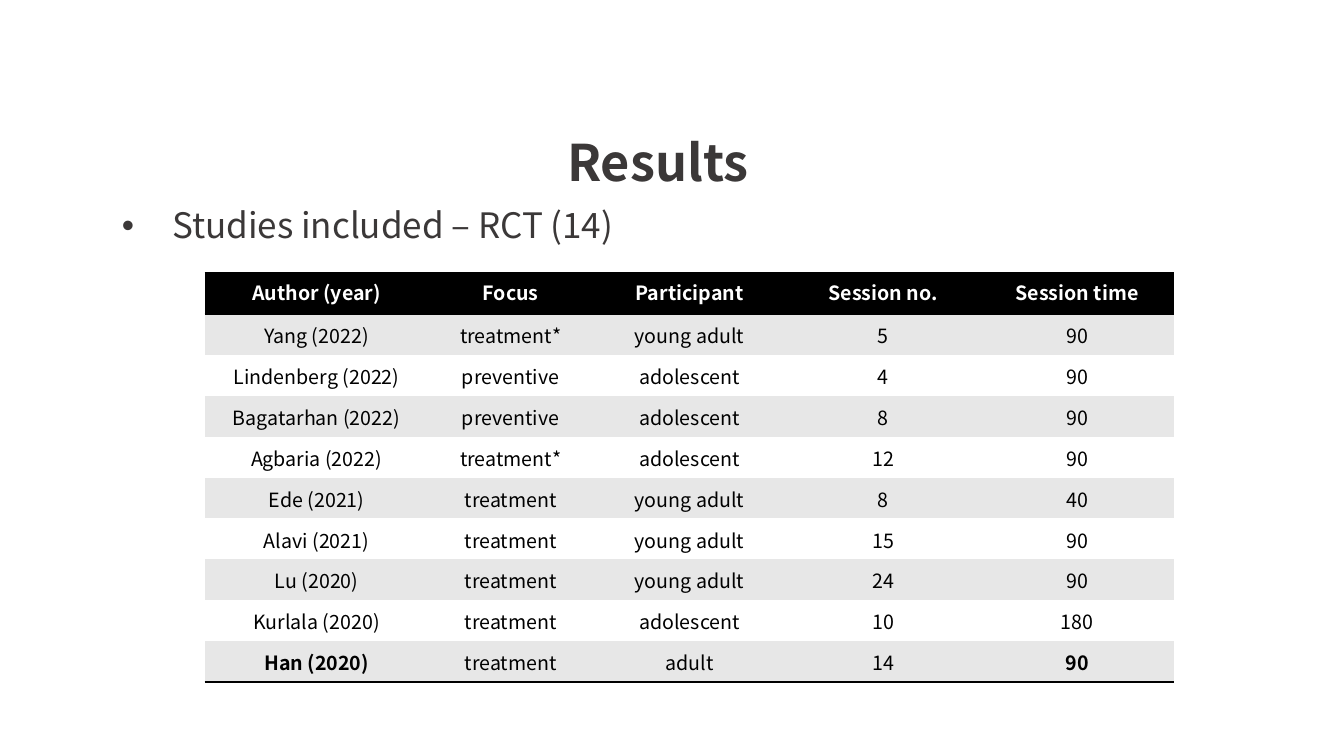
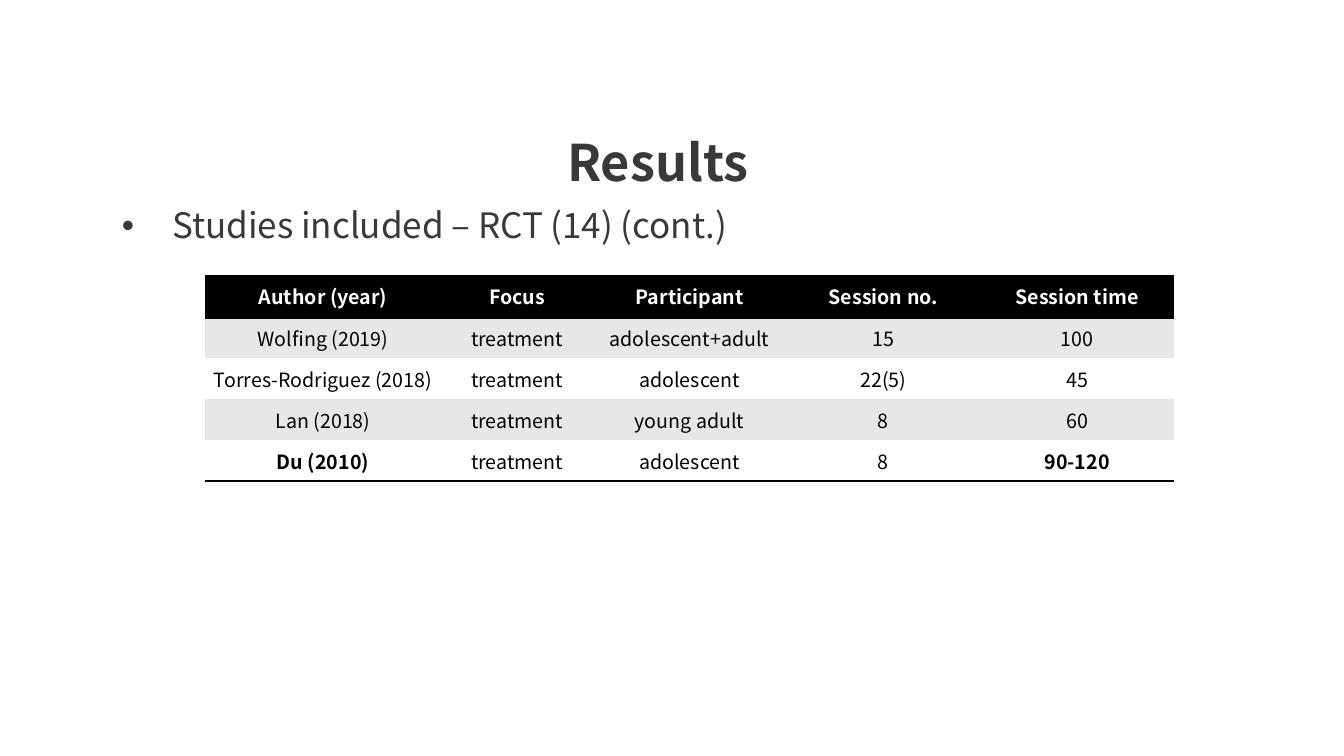
from pptx import Presentation
from pptx.dml.color import RGBColor
from pptx.enum.text import MSO_ANCHOR, MSO_AUTO_SIZE, PP_ALIGN
from pptx.oxml import parse_xml
from pptx.oxml.ns import nsdecls, qn
from pptx.util import Pt

MIDDLE, TOP = MSO_ANCHOR.MIDDLE, MSO_ANCHOR.TOP
CENTER, LEFT = PP_ALIGN.CENTER, PP_ALIGN.LEFT
GROW = MSO_AUTO_SIZE.SHAPE_TO_FIT_TEXT

BLACK = RGBColor(0x00, 0x00, 0x00)
WHITE = RGBColor(0xFF, 0xFF, 0xFF)
GREY = RGBColor(0xE7, 0xE7, 0xE7)
DARK = RGBColor(0x3B, 0x38, 0x38)

FONT = "Noto Sans CJK KR"
PLAIN = "{2D5ABB26-0587-4C30-8999-92F81FD0307C}"
ROW = 29.25
HEAD = ("Author (year)", "Focus", "Participant", "Session no.", "Session time")

FIRST = [
    ("Yang (2022)", "treatment*", "young adult", "5", "90"),
    ("Lindenberg (2022)", "preventive", "adolescent", "4", "90"),
    ("Bagatarhan (2022)", "preventive", "adolescent", "8", "90"),
    ("Agbaria (2022)", "treatment*", "adolescent", "12", "90"),
    ("Ede (2021)", "treatment", "young adult", "8", "40"),
    ("Alavi (2021)", "treatment", "young adult", "15", "90"),
    ("Lu (2020)", "treatment", "young adult", "24", "90"),
    ("Kurlala (2020)", "treatment", "adolescent", "10", "180"),
    ("Han (2020)", "treatment", "adult", "14", "90"),
]
SECOND = [
    ("Wolfing (2019)", "treatment", "adolescent+adult", "15", "100"),
    ("Torres-Rodriguez (2018)", "treatment", "adolescent", "22(5)", "45"),
    ("Lan (2018)", "treatment", "young adult", "8", "60"),
    ("Du (2010)", "treatment", "adolescent", "8", "90-120"),
]


class Deck:
    """Hold the shared style and the slide being built."""

    def __init__(self):
        self.show = Presentation()
        self.show.slide_width, self.show.slide_height = Pt(960), Pt(540)
        self.slide = None

    def style(self, para, size, color, bold=False, align=CENTER):
        para.alignment = align
        font = para.font
        font.name, font.size, font.bold = FONT, Pt(size), bold
        font.color.rgb = color

    def fit(self, frame):
        frame.word_wrap = True
        frame.auto_size = GROW
        frame.vertical_anchor = TOP
        frame.paragraphs[0].line_spacing = 0.9

    def title(self, text):
        self.slide = self.show.slides.add_slide(self.show.slide_layouts[5])
        box = self.slide.shapes.title
        box.left, box.top, box.width, box.height = Pt(126), Pt(95), Pt(688), Pt(51)
        box.text_frame.text = text
        self.fit(box.text_frame)
        self.style(box.text_frame.paragraphs[0], 36, DARK, True)

    def bullet(self, text):
        box = self.slide.shapes.add_textbox(Pt(80), Pt(145.5), Pt(758), Pt(37.5))
        box.text_frame.text = text
        self.fit(box.text_frame)
        para = box.text_frame.paragraphs[0]
        props = para._p.get_or_add_pPr()
        props.set("marL", str(Pt(36)))
        props.set("indent", str(-Pt(36)))
        props.append(parse_xml(f'<a:buFont {nsdecls("a")} typeface="Arial"/>'))
        props.append(parse_xml(f'<a:buChar {nsdecls("a")} char="•"/>'))
        self.style(para, 25, DARK, align=LEFT)

    def rule(self, cell, side):
        cell._tc.get_or_add_tcPr().append(parse_xml(
            f'<a:ln{side} {nsdecls("a")} w="{Pt(2)}"><a:solidFill>'
            f'<a:srgbClr val="{BLACK}"/></a:solidFill></a:ln{side}>'))

    def cell(self, cell, text, fill, color, bold, sides):
        for side in sides:
            self.rule(cell, side)
        cell.fill.solid()
        cell.fill.fore_color.rgb = fill
        cell.text = text
        self.style(cell.text_frame.paragraphs[0], 14, color, bold)

    def table(self, top, first, second, body):
        widths = [first, second] + [138.4] * 3
        count = len(body)
        frame = self.slide.shapes.add_table(
            count + 1, len(HEAD), Pt(146.2), Pt(top),
            Pt(sum(widths)), Pt(ROW * (count + 1)))
        for style in frame.element.iter(qn("a:tableStyleId")):
            style.text = PLAIN
        grid = frame.table
        grid.horz_banding = False
        for column, width in zip(grid.columns, widths):
            column.width = Pt(width)
        for row in grid.rows:
            row.height = Pt(ROW)
        for col, text in enumerate(HEAD):
            self.cell(grid.cell(0, col), text, BLACK, WHITE, True, "TB")
        for row, texts in enumerate(body, 1):
            last = row == count
            for col, text in enumerate(texts):
                cell = grid.cell(row, col)
                bold = last and col in (0, len(HEAD) - 1)
                self.cell(cell, text, GREY if row % 2 else WHITE, BLACK,
                          bold, "B" if last else "")
                cell.vertical_anchor = MIDDLE
                cell.margin_left = cell.margin_right = cell.margin_top = Pt(0.7)
                cell.margin_bottom = 0


def main():
    deck = Deck()
    deck.title("Results")
    deck.bullet("Studies included – RCT (14)")
    deck.table(195, 160, 117.2, FIRST)
    deck.title("Results")
    deck.bullet("Studies included – RCT (14) (cont.)")
    deck.table(197.5, 169.2, 108, SECOND)
    deck.show.save("out.pptx")


if __name__ == "__main__":
    main()
